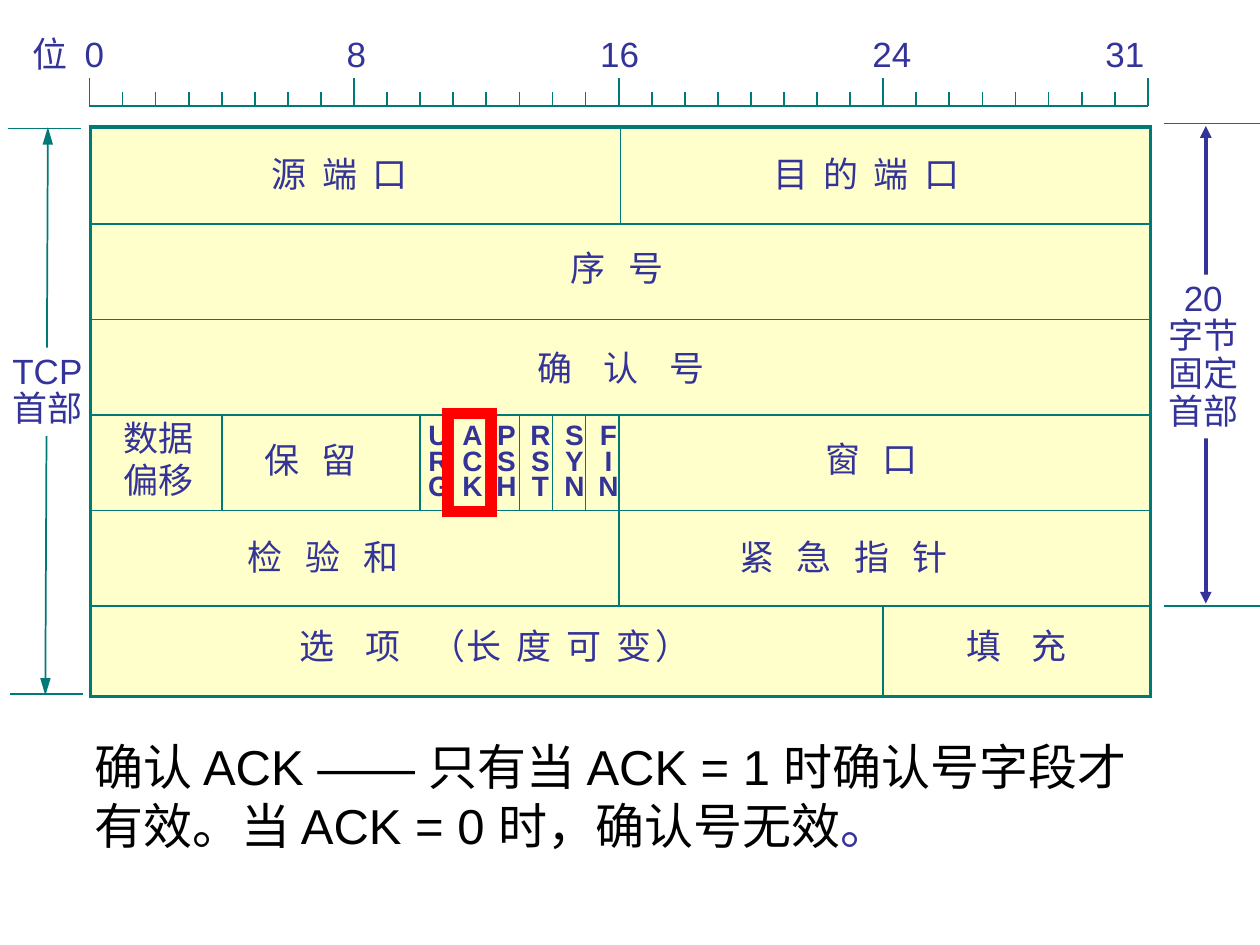
"""Build a slide of the TCP header layout that marks the ACK flag."""
from lxml.etree import SubElement
from pptx import Presentation
from pptx.dml.color import RGBColor
from pptx.enum.shapes import MSO_CONNECTOR, MSO_SHAPE
from pptx.enum.text import MSO_ANCHOR, PP_ALIGN
from pptx.oxml.ns import qn
from pptx.util import Inches, Pt

THEME = {
    "font": "Arial", "ink": "333399", "line": "007A77", "cell": "FFFFCC",
    "mark": "FF0000", "black": "000000", "white": "FFFFFF",
    "text": 20, "flag": 16, "note": 28, "thin": 1, "thick": 2.25, "edge": 2, "frame": 6,
}
LEFT, TOP, WIDE, LAST, BASE = 0.71, 1.02, 8.4, 4.81, 5.53
STEP, ROW = WIDE / 32, (LAST - TOP) / 5
TABLE = (0.72, 1.01, 8.41, 4.52)
TIGHT, MID, LOOSE = 2.1, 4.2, 6.5

FIELDS = [
    (2.06, 1.16, 1.6, [("源 端 口", TIGHT)]),
    (6.04, 1.16, 2.15, [("目 的 端 口", TIGHT)]),
    (4.43, 1.91, 1.5, [("序 号", MID)]),
    (4.17, 2.7, 2, [("确 认 号", LOOSE)]),
    (2, 3.43, 1.2, [("保 留", MID)]),
    (6.45, 3.42, 1.2, [("窗 口", MID)]),
    (1.87, 4.2, 1.9, [("检 验 和", MID)]),
    (5.77, 4.2, 2.56, [("紧 急 指 针", MID)]),
    (2.28, 4.91, 3.5, [("选 项 ", LOOSE), ("（", 0), ("长 度 可 变）", TIGHT)]),
    (7.57, 4.91, 1.4, [("填 充", LOOSE)]),
]
FLAGS = ["URG", "ACK", "PSH", "RST", "SYN", "FIN"]
SPLITS = [(3, 4), (3, 10), (3, 11), (3, 12), (3, 13), (3, 14), (3, 15), (3, 16), (4, 16), (5, 24)]
MARKS = "位\t0\t8\t16\t24\t31"
TABS = [0.49, 2.57, 4.66, 6.82, 8.67]
SIDES = [
    {"ends": (0.38, 1.01, 0.36, 5.52), "hue": "line", "size": "thin", "tip": "lg",
     "bars": [(0.06, 1.02, 0.64), (0.08, 5.51, 0.66)],
     "box": (0, 2.76, 0.76, 0.7), "rows": ["TCP", "首部"], "align": PP_ALIGN.LEFT},
    {"ends": (9.57, 1, 9.57, 4.79), "hue": "ink", "size": "thick", "tip": "med",
     "bars": [(9.24, 0.98, 10), (9.24, 4.81, 10)],
     "box": (9.17, 2.18, 0.76, 1.3), "rows": ["20", "字节", "固定", "首部"],
     "align": PP_ALIGN.CENTER},
]
NOTE = [("确认 ACK —— 只有当 ACK = 1 时确认号字段才有效。当 ACK = 0 时，确认号无效", "black"),
        ("。", "ink")]


def shade(name):
    return RGBColor.from_string(THEME[name])


def draw_line(slide, ends, hue="line", size="thin", tip=None):
    line = slide.shapes.add_connector(MSO_CONNECTOR.STRAIGHT, *map(Inches, ends))
    line.line.color.rgb = shade(hue)
    line.line.width = Pt(THEME[size])
    if tip:
        for tag in ("a:headEnd", "a:tailEnd"):
            SubElement(line.line._ln, qn(tag), type="triangle", w="med", len=tip)
    SubElement(line._element.spPr, qn("a:effectLst"))
    return line


def draw_rect(slide, box, fill=None, hue=None, size=None):
    rect = slide.shapes.add_shape(MSO_SHAPE.RECTANGLE, *map(Inches, box))
    rect.shadow.inherit = False
    if fill:
        rect.fill.solid()
        rect.fill.fore_color.rgb = shade(fill)
    else:
        rect.fill.background()
    if hue:
        rect.line.color.rgb = shade(hue)
        rect.line.width = Pt(THEME[size])
        SubElement(rect.line._ln, qn("a:miter"), lim="800000")
    else:
        rect.line.fill.background()
    return rect


def add_text(slide, box, rows, size="text", fill=None, tabs=(), **form):
    item = slide.shapes.add_textbox(*map(Inches, box))
    if fill:
        item.fill.solid()
        item.fill.fore_color.rgb = shade(fill)
    frame = item.text_frame
    frame.word_wrap = True
    frame.vertical_anchor = MSO_ANCHOR.TOP
    for num, row in enumerate(rows):
        para = frame.add_paragraph() if num else frame.paragraphs[0]
        for key, value in form.items():
            setattr(para, key, value)
        if tabs:
            stops = SubElement(para._p.get_or_add_pPr(), qn("a:tabLst"))
            for stop in tabs:
                SubElement(stops, qn("a:tab"), pos=str(Inches(stop)), algn="ctr")
        for text, hue, gap in row:
            run = para.add_run()
            run.text = text
            looks = {"name": THEME["font"], "size": Pt(THEME[size]), "bold": size == "flag"}
            for key, value in looks.items():
                setattr(run.font, key, value)
            run.font.color.rgb = shade(hue)
            if gap:
                run._r.get_or_add_rPr().set("spc", str(round(gap * 100)))


def plain(words):
    return [[(word, "ink", 0)] for word in words]


def draw_ruler(slide):
    draw_line(slide, (LEFT, 0.84, LEFT + WIDE, 0.84))
    for bit in range(33):
        x = LEFT + bit * STEP
        draw_line(slide, (x, 0.51 if bit % 8 else 0.62, x, 0.84))
    for part in range(4):
        draw_rect(slide, (0.89 + part * 8 * STEP, 0.4, 1.75, 0.33), "white")
    add_text(slide, (0.16, 0.21, 9.2, 0.43), plain([MARKS]), tabs=TABS)


def draw_sides(slide):
    for side in SIDES:
        draw_line(slide, side["ends"], side["hue"], side["size"], side["tip"])
        for x, y, end in side["bars"]:
            draw_line(slide, (x, y, end, y))
        add_text(slide, side["box"], plain(side["rows"]), fill="white",
                 alignment=side["align"], line_spacing=0.9)


def draw_table(slide):
    table = draw_rect(slide, TABLE, "cell", "line", "edge")
    for row in range(1, 6):
        y = TOP + row * ROW
        draw_line(slide, (LEFT, y, TABLE[0] + TABLE[2], y))
    half = TABLE[0] + TABLE[2] / 2
    draw_line(slide, (half, TABLE[1], half, TOP + ROW)).begin_connect(table, 0)
    for row, bit in SPLITS:
        x, y = LEFT + bit * STEP, TOP + row * ROW
        draw_line(slide, (x, y, x, min(y + ROW, BASE)))
    for x, y, wide, parts in FIELDS:
        add_text(slide, (x, y, wide, 0.43), [[(text, "ink", gap) for text, gap in parts]])
    add_text(slide, (0.88, 3.26, 0.76, 0.76), plain(["数据", "偏移"]))
    for num, flag in enumerate(FLAGS):
        add_text(slide, (3.3 + num * 0.27, 3.33, 0.36, 0.7), plain(flag), "flag",
                 alignment=PP_ALIGN.CENTER, line_spacing=0.75)


def main():
    deck = Presentation()
    deck.slide_width, deck.slide_height = Inches(10), Inches(7.5)
    slide = deck.slides.add_slide(deck.slide_layouts[6])
    draw_sides(slide)
    draw_table(slide)
    draw_ruler(slide)
    add_text(slide, (0.65, 5.8, 8.68, 1.04), [[(text, hue, 0) for text, hue in NOTE]], "note")
    draw_rect(slide, (3.55, 3.28, 0.35, 0.78), hue="mark", size="frame")
    deck.save("out.pptx")


if __name__ == "__main__":
    main()
